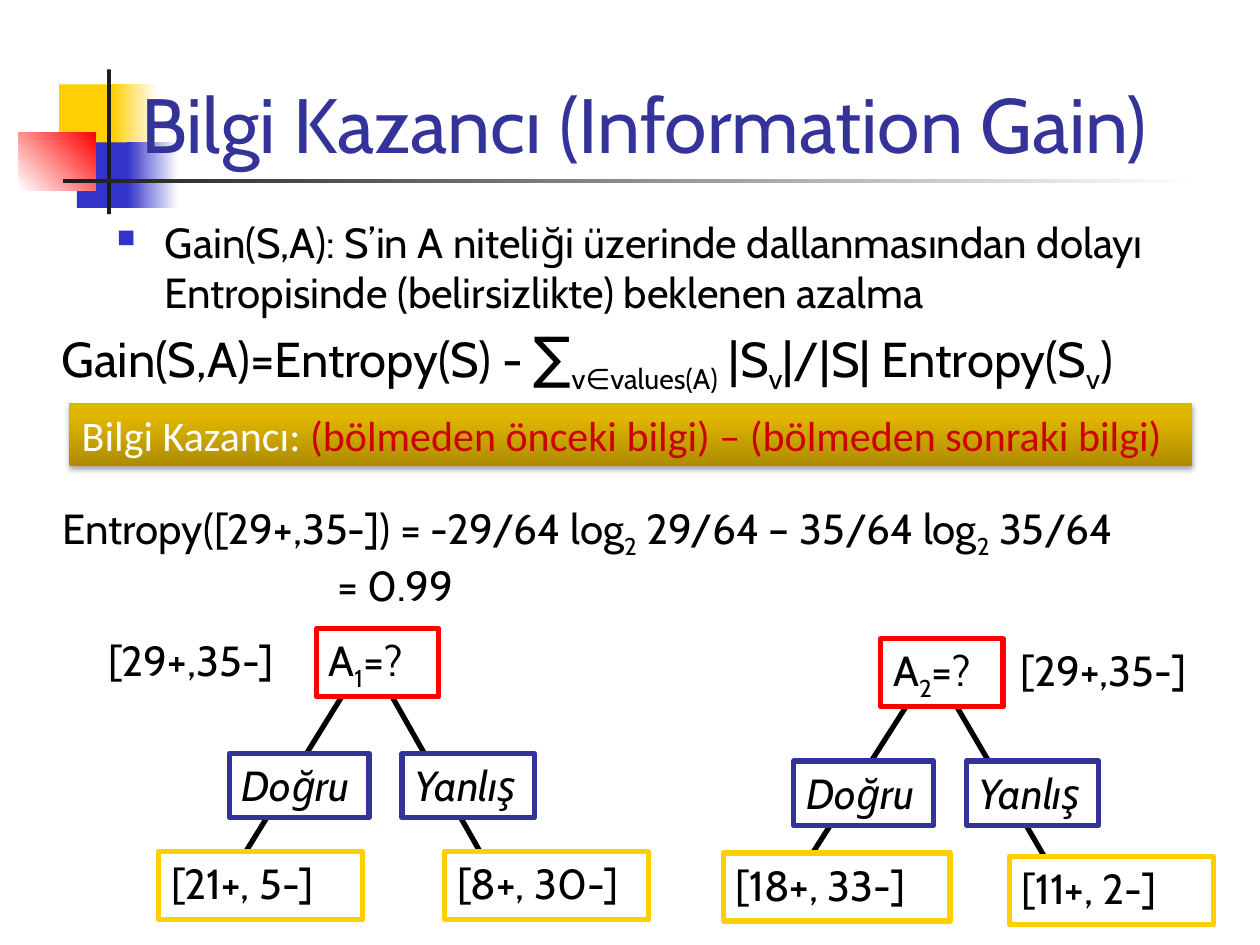
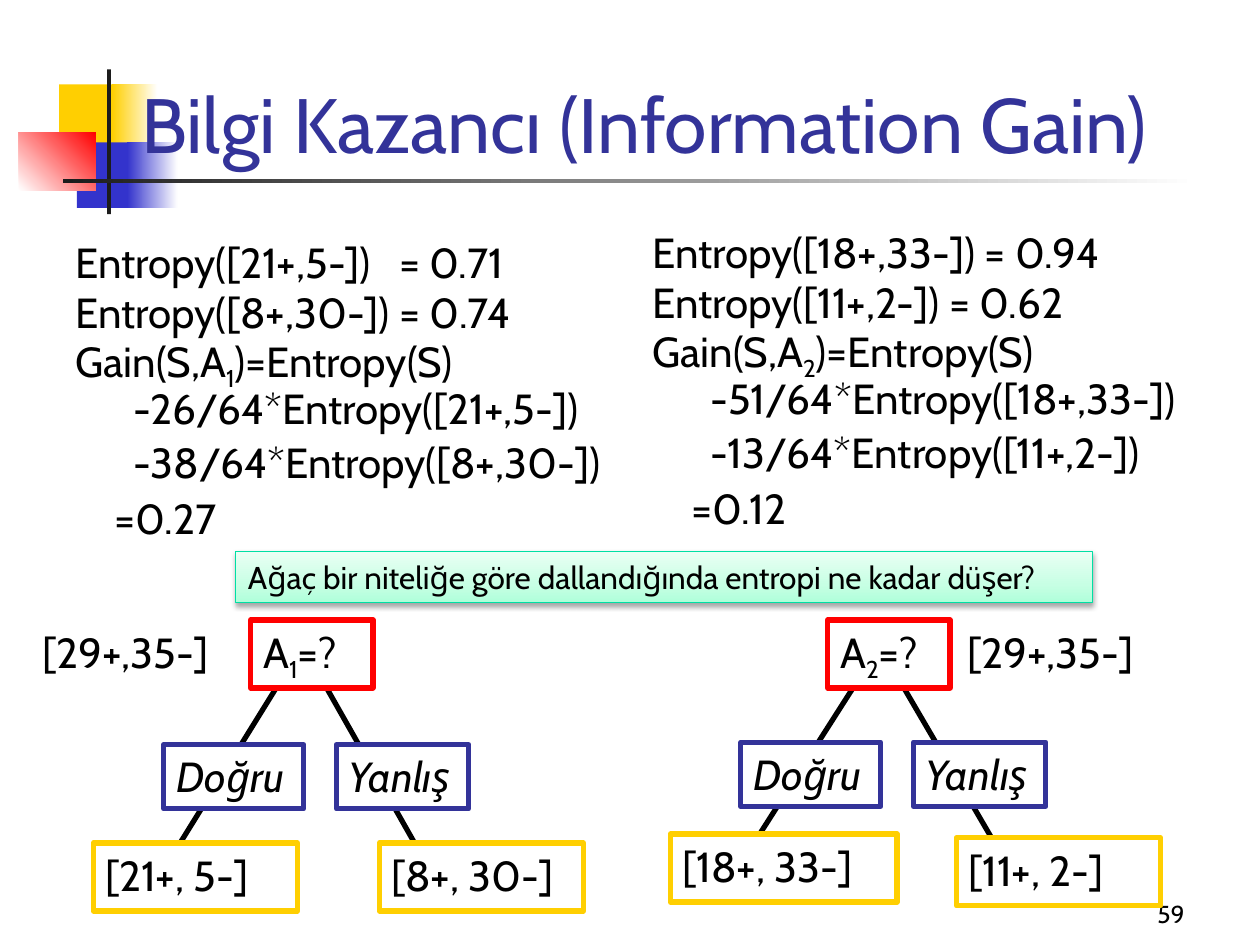
from dataclasses import dataclass

import pptx
import pptx.dml.color
import pptx.enum.shapes
import pptx.enum.text
import pptx.oxml.ns
import pptx.util
from lxml import etree

qn = pptx.oxml.ns.qn
Pt = pptx.util.Pt
PP_ALIGN = pptx.enum.text.PP_ALIGN
ANCHOR = pptx.enum.text.MSO_ANCHOR
AUTO_SIZE = pptx.enum.text.MSO_AUTO_SIZE

SLIDE_WIDTH = pptx.util.Inches(10)
SLIDE_HEIGHT = pptx.util.Inches(7.5)
COLUMN = SLIDE_WIDTH // 100
ROW = SLIDE_HEIGHT // 75


@dataclass(frozen=True)
class Theme:
    font: str = "Cabin"
    callout_font: str = "Calibri"
    title_size: int = 44
    formula_size: int = 28
    sum_size: int = 32
    body_size: int = 24
    question_size: int = 18
    number_size: int = 14
    tree_line: int = 3
    ink: str = "000000"
    paper: str = "FFFFFF"
    navy: str = "333399"
    blue: str = "3333CC"
    yellow: str = "FFCF01"
    red: str = "FF0000"
    dark_red: str = "CC0000"
    bar: str = "1C1C1C"
    mint: str = "00DFA4"
    gold_fade: tuple = ((0, "AD8C00"), (80, "E1B600"), (100, "E2B700"))
    mint_fade: tuple = ((0, "B0FFDA"), (35, "C7FFE4"), (100, "EAFFF4"))


THEME = Theme()
TITLE = "Bilgi Kazancı (Information Gain)"


@dataclass
class Piece:
    text: str
    size: int = None
    color: str = None
    subscript: bool = False


@dataclass
class Line:
    """A paragraph; indent and tab are counted in columns."""
    pieces: tuple
    indent: float = 0
    tab: float = 0
    spacing: float = None
    before: float = 0
    bullet: bool = False


@dataclass
class Tree:
    """A one-level decision tree; drops are rows below the root's top."""
    index: str
    leaves: tuple
    leaf_widths: tuple
    leaf_drops: tuple
    branch_drop: float
    count_shift: float


TREE_1 = Tree("1", ("[21+, 5-]", "[8+, 30-]"), (16.2, 16.2), (17.7, 17.7), 9.9, -17.5)
TREE_2 = Tree("2", ("[18+, 33-]", "[11+, 2-]"), (18, 16.2), (17, 17.3), 9.7, 10.1)


def sub(text):
    return Piece(text, subscript=True)


def rgb(color):
    return pptx.dml.color.RGBColor.from_string(color)


def grid(*lengths):
    """Turn alternating columns and rows into slide lengths."""
    return [round(n * (ROW if i % 2 else COLUMN)) for i, n in enumerate(lengths)]


def add_xml(parent, tag, **attributes):
    return etree.SubElement(parent, qn(tag), {k: str(v) for k, v in attributes.items()})


def style_paragraph(paragraph, line):
    properties = paragraph._p.get_or_add_pPr()
    if line.indent:
        properties.set("marL", str(round(line.indent * COLUMN)))
    if line.bullet:
        properties.set("indent", str(-round(line.indent * COLUMN)))
        add_xml(add_xml(properties, "a:buClr"), "a:srgbClr", val=THEME.blue)
        add_xml(properties, "a:buSzPct", val=60000)
        add_xml(properties, "a:buChar", char="■")
    if line.tab:
        stops = add_xml(properties, "a:tabLst")
        add_xml(stops, "a:tab", pos=round(line.tab * COLUMN), algn="l")
    if line.spacing:
        paragraph.line_spacing = line.spacing
    if line.before:
        paragraph.space_before = Pt(line.before)


def write(frame, lines, size=THEME.body_size, font=THEME.font, color=THEME.ink,
          italic=False, align=PP_ALIGN.LEFT):
    for number, line in enumerate(lines):
        if isinstance(line, str):
            line = Line((line,))
        paragraph = frame.add_paragraph() if number else frame.paragraphs[0]
        style_paragraph(paragraph, line)
        paragraph.alignment = align
        paragraph.font.name = font
        paragraph.font.size = Pt(size)
        paragraph.font.color.rgb = rgb(color)
        if italic:
            paragraph.font.italic = True
        for piece in line.pieces:
            if isinstance(piece, str):
                piece = Piece(piece)
            run = paragraph.add_run()
            run.text = piece.text
            if piece.size:
                run.font.size = Pt(piece.size)
            if piece.color:
                run.font.color.rgb = rgb(piece.color)
            if piece.subscript:
                run.font._element.set("baseline", "-25000")


def fit_frame(shape, wrap):
    frame = shape.text_frame
    frame.word_wrap = wrap
    frame.auto_size = AUTO_SIZE.NONE if wrap else AUTO_SIZE.SHAPE_TO_FIT_TEXT
    frame.vertical_anchor = ANCHOR.TOP
    return frame


def add_text(shapes, place, lines, wrap=False, **style):
    frame = fit_frame(shapes.add_textbox(*grid(*place)), wrap)
    write(frame, lines, **style)
    return frame


def add_rect(shapes, place, fill, angle=0, outline=None, weight=0):
    """Fill is one colour, or (percent, colour) stops running clockwise by angle."""
    rect = shapes.add_shape(pptx.enum.shapes.MSO_SHAPE.RECTANGLE, *grid(*place))
    rect.shadow.inherit = False
    if isinstance(fill, str):
        rect.fill.solid()
        rect.fill.fore_color.rgb = rgb(fill)
    else:
        rect.fill.gradient()
        rect.fill.gradient_angle = (360 - angle) % 360
        stops = rect.element.spPr.find(".//" + qn("a:gsLst"))
        for old_stop in list(stops):
            stops.remove(old_stop)
        for percent, color in fill:
            stop = add_xml(stops, "a:gs", pos=percent * 1000)
            add_xml(stop, "a:srgbClr", val=color)
    if outline:
        rect.line.color.rgb = rgb(outline)
        rect.line.width = Pt(weight)
    else:
        rect.line.fill.background()
    return rect


def add_callout(shapes, place, fade, lines, outline=None, **style):
    callout = add_rect(shapes, place, fade, 270, outline, 0.75)
    effects = callout.element.spPr.find(qn("a:effectLst"))
    shadow = add_xml(effects, "a:outerShdw", blurRad=Pt(3.1), dist=Pt(1.8),
                     dir=90 * 60000, rotWithShape=0)
    add_xml(add_xml(shadow, "a:srgbClr", val=THEME.ink), "a:alpha", val=35000)
    write(fit_frame(callout, True), lines, **style)


def add_node(shapes, place, outline, line, italic=False):
    node = add_rect(shapes, place, THEME.paper, outline=outline, weight=THEME.tree_line)
    write(fit_frame(node, False), [line], italic=italic)


def add_branch(shapes, start, end):
    branch = shapes.add_connector(pptx.enum.shapes.MSO_CONNECTOR.STRAIGHT,
                                  *grid(*start, *end))
    branch.line.color.rgb = rgb(THEME.ink)
    branch.line.width = Pt(THEME.tree_line)
    add_xml(branch._element.spPr, "a:effectLst")


def add_tree(slide, tree, left, top):
    """Place the tree with its root box at left, top."""
    shapes = slide.shapes.add_group_shape().shapes
    left_end, right_end = (top + max(tree.leaf_drops),) * 2
    add_branch(shapes, (left + 2.7, top + 4.3), (left - 5.6, left_end))
    add_branch(shapes, (left + 5.4, top + 4.3), (left + 13, right_end))
    add_node(shapes, (left, top, 9.7, 5.4), THEME.red,
             Line(("A", sub(tree.index), "=?")))
    for answer, shift, width in (("Doğru", -6.9, 11.1), ("Yanlış", 6.8, 10.5)):
        add_node(shapes, (left + shift, top + tree.branch_drop, width, 5.1),
                 THEME.navy, answer, italic=True)
    for leaf, shift, width, drop in zip(tree.leaves, (-12.5, 10.2),
                                        tree.leaf_widths, tree.leaf_drops):
        add_node(shapes, (left + shift, top + drop, width, 5.4), THEME.yellow, leaf)
    add_text(shapes, (left + tree.count_shift, top, 16.5, 5), ["[29+,35-]"])


def decorate_layout(layout, slide):
    """Draw the corner motif and title rule, then hand them to the layout."""
    def fade(color):
        return (0, color), (100, THEME.paper)

    motif = [
        ((4.7, 6.7, 4.8, 5.2), THEME.yellow, 0),
        ((8.9, 6.7, 3.6, 5.2), fade(THEME.yellow), 0),
        ((6.1, 11.3, 4.6, 5.2), THEME.blue, 0),
        ((10.1, 11.3, 4, 5.2), fade(THEME.blue), 0),
        ((1.5, 10.5, 6.1, 4.6), ((0, THEME.paper), (100, THEME.red)), 315),
        ((8.5, 5.5, 0.3, 11.5), THEME.bar, 0),
        ((5, 14.2, 90, 0.3), fade(THEME.bar), 0),
    ]
    for number, (place, fill, angle) in enumerate(motif):
        part = add_rect(slide.shapes, place, fill, angle).element
        part.nvSpPr.cNvPr.set("id", str(100 + number))
        layout.shapes.element.insert(2 + number, part)


def add_title(slide):
    title = slide.shapes.title
    title.left, title.top, title.width, title.height = grid(10.2, 1.4, 89.8, 12.5)
    frame = fit_frame(title, True)
    frame.vertical_anchor = ANCHOR.BOTTOM
    write(frame, [TITLE], size=THEME.title_size, color=THEME.navy)


def gain_lines(first, second, index, terms, result):
    """Entropies of both branches, then the gain worked out from them."""
    return [
        first,
        Line((second,), spacing=0.5, before=12),
        Line(("Gain(S,A", sub(index), ")=Entropy(S)"), spacing=0.5, before=12),
        Line((terms[0],), indent=4.6, spacing=0.5, before=12),
        Line((terms[1],), indent=4.6, spacing=0.7, before=12),
        Line((result,), indent=3.1, spacing=0.7, before=12),
    ]


def build_definition(slide):
    shapes = slide.shapes
    definition = ("Gain(S,A): S’in A niteliği üzerinde dallanmasından dolayı "
                  "Entropisinde (belirsizlikte) beklenen azalma")
    add_text(shapes, (8.3, 16.7, 87.8, 8), wrap=True,
             lines=[Line((definition,), indent=3.8, bullet=True)])
    add_tree(slide, TREE_1, 25.1, 49.9)
    add_tree(slide, TREE_2, 69.9, 50.7)
    add_text(shapes, (3.9, 25, 96.1, 6.3), size=THEME.formula_size, lines=[Line((
        "Gain(S,A)=Entropy(S) - ", Piece("∑", size=THEME.sum_size),
        sub("v∈values(A)"), " |S", sub("v"), "|/|S| Entropy(S", sub("v"), ")"))])
    add_text(shapes, (4, 39.4, 89.7, 9), lines=[
        Line(("Entropy([29+,35-]) = -29/64 log", sub("2"), " 29/64 – 35/64 log",
              sub("2"), " 35/64")),
        Line(("= 0.99",), indent=21.8)])
    add_callout(shapes, (5.5, 32, 89.1, 5), THEME.gold_fade, [Line((
        "Bilgi Kazancı: ",
        Piece("(bölmeden önceki bilgi) – (bölmeden sonraki bilgi)",
              color=THEME.dark_red)))],
        font=THEME.callout_font, color=THEME.paper)


def build_comparison(slide):
    shapes = slide.shapes
    number = add_text(shapes, (74.2, 69.2, 20.8, 5), ["59"], wrap=True,
                      size=THEME.number_size, align=PP_ALIGN.RIGHT)
    number.vertical_anchor = ANCHOR.BOTTOM
    add_tree(slide, TREE_1, 19.9, 49.2)
    add_text(shapes, (5, 18.3, 45, 26), wrap=True, lines=gain_lines(
        Line(("Entropy([21+,5-])\t= 0.71",), tab=25.7), "Entropy([8+,30-]) = 0.74", "1",
        ("-26/64*Entropy([21+,5-])", "-38/64*Entropy([8+,30-])"), "=0.27"))
    add_text(shapes, (50.8, 17.5, 49, 26), wrap=True, lines=gain_lines(
        "Entropy([18+,33-]) = 0.94", "Entropy([11+,2-]) = 0.62", "2",
        ("-51/64*Entropy([18+,33-])", "-13/64*Entropy([11+,2-])"), "=0.12"))
    add_tree(slide, TREE_2, 65.7, 49.2)
    add_callout(shapes, (18.7, 43.8, 68, 4), THEME.mint_fade,
                ["Ağaç bir niteliğe göre dallandığında entropi ne kadar düşer?"],
                outline=THEME.mint, size=THEME.question_size)


def main():
    deck = pptx.Presentation()
    deck.slide_width, deck.slide_height = SLIDE_WIDTH, SLIDE_HEIGHT
    title_only = deck.slide_layouts[5]
    for number, build in enumerate((build_definition, build_comparison)):
        slide = deck.slides.add_slide(title_only)
        if number == 0:
            decorate_layout(title_only, slide)
        add_title(slide)
        build(slide)
    deck.save("out.pptx")


if __name__ == "__main__":
    main()
